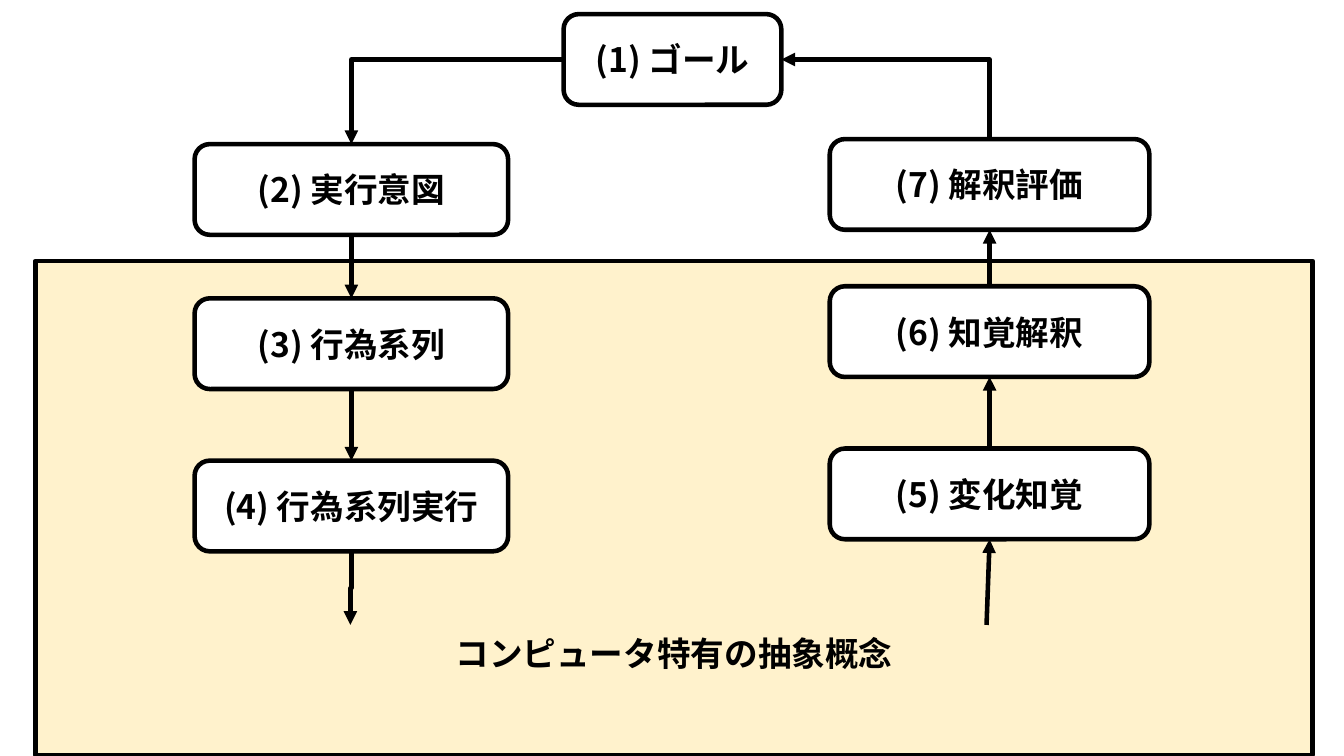
from lxml.etree import SubElement
from pptx import Presentation
from pptx.dml.color import RGBColor
from pptx.enum.shapes import MSO_CONNECTOR as Link, MSO_SHAPE as Shape
from pptx.enum.text import MSO_ANCHOR as Anchor, PP_ALIGN as Align
from pptx.oxml.ns import qn
from pptx.util import Inches, Pt

# Content: label and top of each stage, in inches
GOAL = ("(1) ゴール", 0.14)
EXECUTION = [("(2) 実行意図", 1.43), ("(3) 行為系列", 2.96), ("(4) 行為系列実行", 4.57)]
EVALUATION = [("(7) 解釈評価", 1.38), ("(6) 知覚解釈", 2.84), ("(5) 変化知覚", 4.45)]
CONCEPT = "コンピュータ特有の抽象概念"

# Layout and style
GOAL_LEFT, GOAL_WIDTH = 5.59, 2.16
EXECUTION_LEFT, EXECUTION_WIDTH = 1.93, 3.11
EVALUATION_LEFT, EVALUATION_WIDTH = 8.23, 3.17
BOX_HEIGHT = 0.9
CONCEPT_TOP = 6.2
FONT = "Noto Sans CJK JP"
BLACK, WHITE, CREAM = "000000", "FFFFFF", "FFF2CC"
LINE_WIDTH = 3.25


def color(value):
    return RGBColor.from_string(value)


def write(shape, text, size=24, bold=True, ink=BLACK, anchor=Anchor.MIDDLE, bottom=0.05):
    frame = shape.text_frame
    frame.word_wrap = True
    frame.vertical_anchor = anchor
    frame.margin_bottom = Inches(bottom)
    para = frame.paragraphs[0]
    para.alignment = Align.CENTER
    span = para.add_run()
    span.text = text
    span.font.size, span.font.bold, span.font.name = Pt(size), bold, FONT
    span.font.color.rgb = color(ink)
    SubElement(span.font._element, qn("a:ea"), typeface=FONT)


def add_box(page, kind, left, top, width, height, fill):
    box = page.shapes.add_shape(kind, *map(Inches, (left, top, width, height)))
    box.shadow.inherit = False
    box.fill.solid()
    box.fill.fore_color.rgb = color(fill)
    box.line.color.rgb = color(BLACK)
    box.line.width = Pt(LINE_WIDTH)
    return box


def add_arrow(page, start, end, kind=Link.STRAIGHT):
    arrow = page.shapes.add_connector(kind, *map(Inches, (*start, *end)))
    arrow.line.color.rgb = color(BLACK)
    arrow.line.width = Pt(LINE_WIDTH)
    SubElement(arrow.line._get_or_add_ln(), qn("a:tailEnd"), type="triangle")
    SubElement(arrow._element.spPr, qn("a:effectLst"))
    return arrow


def add_elbow(page, start, end, preset, vertical_first=False):
    turn = 0
    if vertical_first:
        # Lay the path on its side, then rotate it about its centre
        (x1, y1), (x2, y2) = start, end
        turn = 90 if y2 > y1 else 270
        side = 1 if turn == 90 else -1
        mid_x, mid_y = (x1 + x2) / 2, (y1 + y2) / 2
        half_run, half_rise = abs(y2 - y1) / 2, side * (x1 - x2) / 2
        start = (mid_x - half_run, mid_y - half_rise)
        end = (mid_x + half_run, mid_y + half_rise)
    arrow = add_arrow(page, start, end, Link.ELBOW)
    arrow._element.spPr.find(qn("a:prstGeom")).set("prst", preset)
    if turn:
        arrow._element.spPr.find(qn("a:xfrm")).set("rot", str(turn * 60000))


def main():
    deck = Presentation()
    deck.slide_width, deck.slide_height = Inches(13.33), Inches(7.5)
    page = deck.slides.add_slide(deck.slide_layouts[6])

    # Area of computer-specific concepts
    area = add_box(page, Shape.RECTANGLE, 0.35, 2.59, 12.67, 4.9, CREAM)
    write(area, CONCEPT, anchor=Anchor.BOTTOM, bottom=0.81)

    # Stage boxes
    columns = [
        (GOAL_LEFT, GOAL_WIDTH, [GOAL]),
        (EXECUTION_LEFT, EXECUTION_WIDTH, EXECUTION),
        (EVALUATION_LEFT, EVALUATION_WIDTH, EVALUATION),
    ]
    for left, width, stages in columns:
        for label, top in stages:
            box = add_box(page, Shape.ROUNDED_RECTANGLE, left, top, width, BOX_HEIGHT, WHITE)
            write(box, label)

    # Arrows between neighbouring stages: down on the left, up on the right
    down_x = EXECUTION_LEFT + EXECUTION_WIDTH / 2
    up_x = EVALUATION_LEFT + EVALUATION_WIDTH / 2
    for (_, upper), (_, lower) in zip(EXECUTION, EXECUTION[1:]):
        add_arrow(page, (down_x, upper + BOX_HEIGHT), (down_x, lower))
    for (_, upper), (_, lower) in zip(EVALUATION, EVALUATION[1:]):
        add_arrow(page, (up_x, lower), (up_x, upper + BOX_HEIGHT))

    # Arrows to and from the concept text
    execution_end = EXECUTION[-1][1] + BOX_HEIGHT
    evaluation_start = EVALUATION[-1][1] + BOX_HEIGHT
    add_elbow(page, (down_x, execution_end), (down_x - 0.01, CONCEPT_TOP),
              "bentConnector3", vertical_first=True)
    add_arrow(page, (up_x - 0.03, CONCEPT_TOP), (up_x, evaluation_start))

    # Arrows to and from the goal
    goal_y = GOAL[1] + BOX_HEIGHT / 2
    add_elbow(page, (GOAL_LEFT, goal_y), (down_x, EXECUTION[0][1]), "bentConnector2")
    add_elbow(page, (up_x, EVALUATION[0][1]), (GOAL_LEFT + GOAL_WIDTH, goal_y),
              "bentConnector2", vertical_first=True)

    deck.save("out.pptx")


if __name__ == "__main__":
    main()
